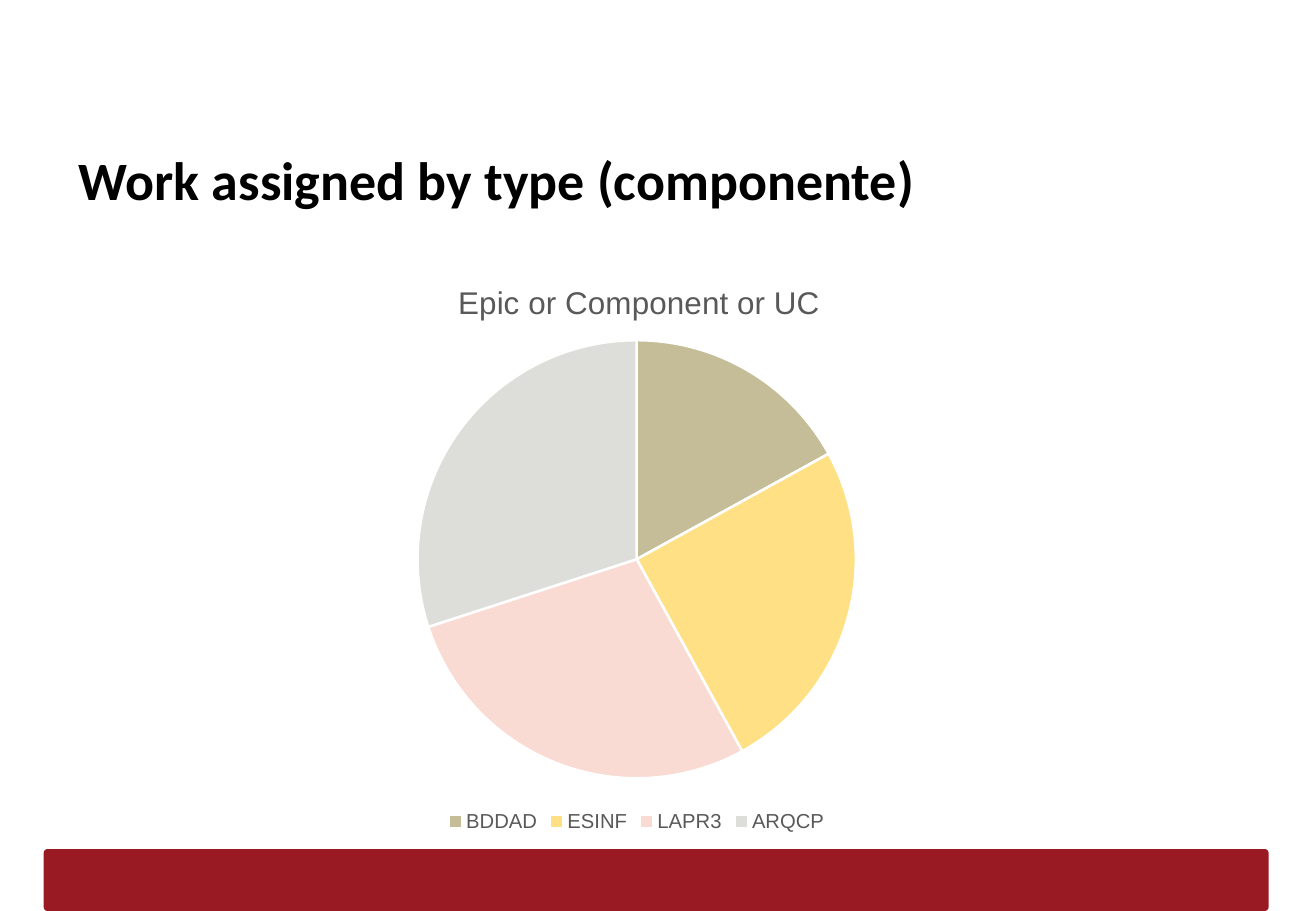
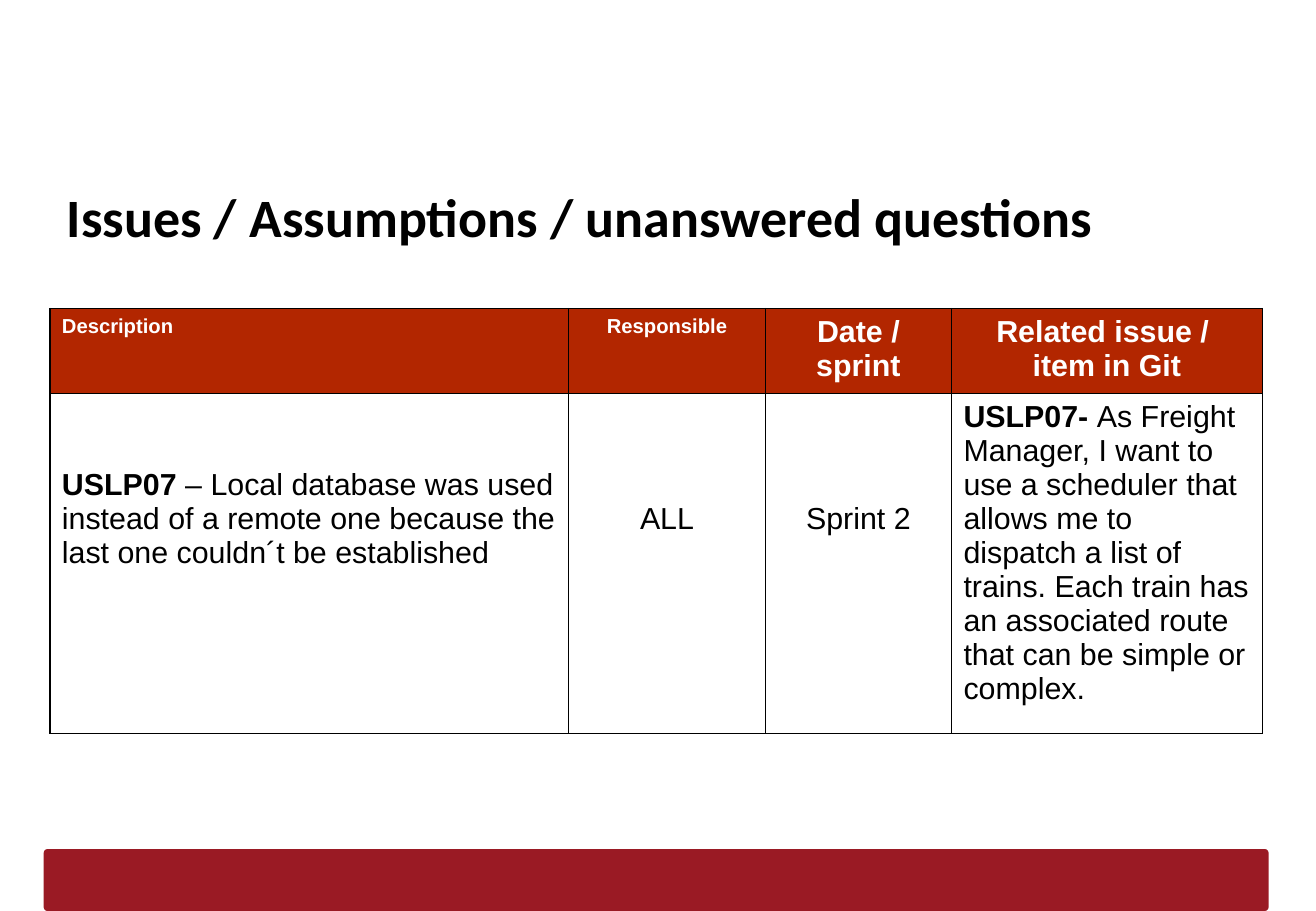
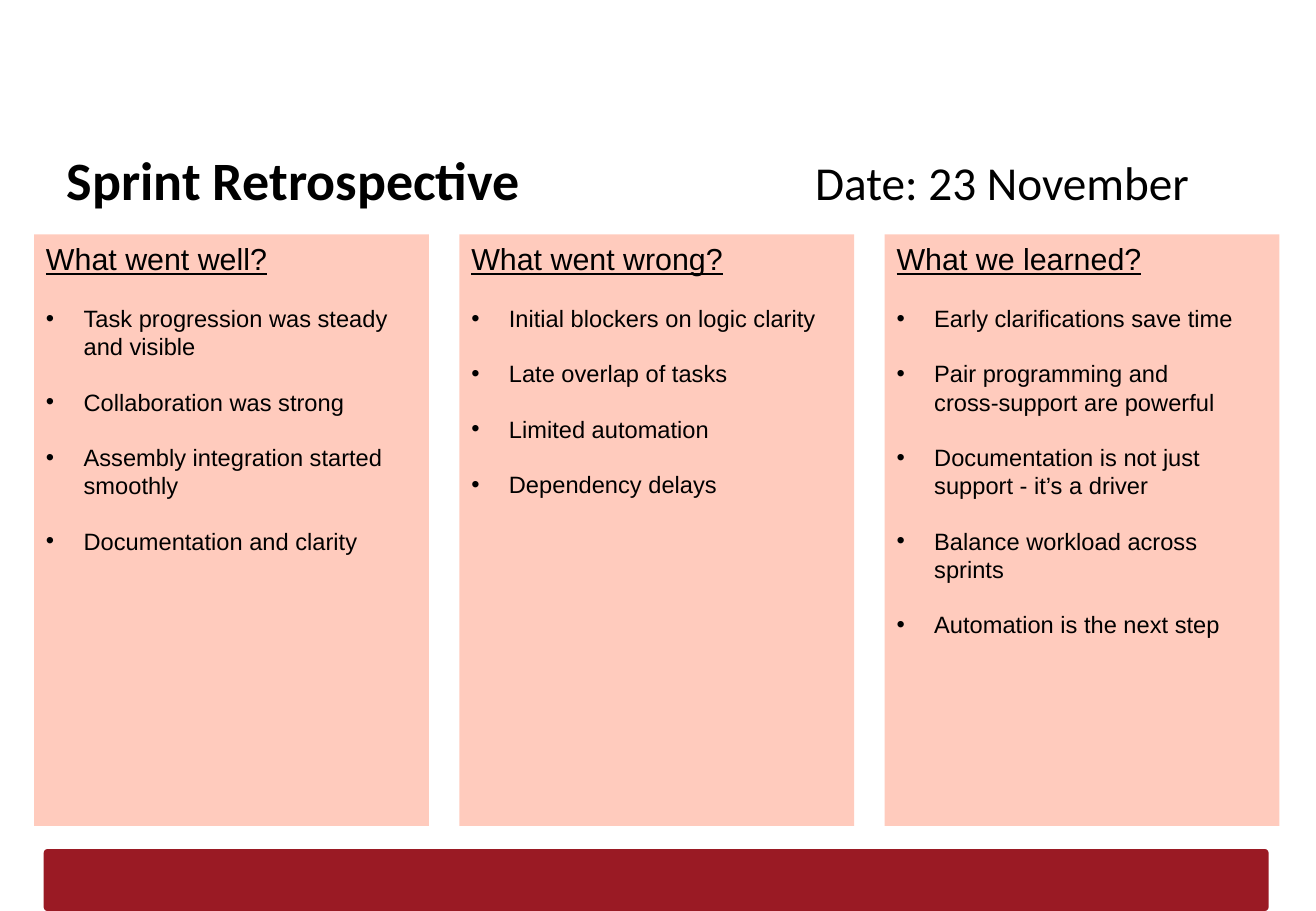
from lxml import etree
from pptx import Presentation
from pptx.chart.data import CategoryChartData
from pptx.dml.color import RGBColor
from pptx.enum.chart import XL_CHART_TYPE, XL_LEGEND_POSITION
from pptx.enum.shapes import MSO_SHAPE
from pptx.enum.text import MSO_ANCHOR, PP_ALIGN
from pptx.oxml import parse_xml
from pptx.oxml.ns import nsdecls, qn
from pptx.util import Pt

EMU_PER_PX = 9144  # 100 px to the inch
BLACK, WHITE, GREY = "000000", "FFFFFF", "595959"
BAND, HEADER, PANEL = "9A1A24", "B22600", "FFCBBD"
TITLE_FONT, BODY_FONT = "Calibri", "Arial"


def px(length):
    return int(length * EMU_PER_PX)


def rgb(value):
    return RGBColor.from_string(value)


def set_font(font, size, color=BLACK, name=BODY_FONT, bold=False, underline=False):
    font.size, font.name, font.bold = Pt(size), name, bold
    font.color.rgb = rgb(color)
    if underline:
        font.underline = True


def add_layout(parent, tag_before, mode, **fractions):
    """Place a chart part at fractions of the chart's width and height."""
    for old in parent.findall(qn("c:layout")):
        parent.remove(old)
    layout = etree.Element(qn("c:layout"))
    manual = etree.SubElement(layout, qn("c:manualLayout"))
    if mode:
        etree.SubElement(manual, qn("c:layoutTarget")).set("val", mode)
    for axis in ("x", "y"):
        etree.SubElement(manual, qn(f"c:{axis}Mode")).set("val", "edge")
    for key, value in fractions.items():
        etree.SubElement(manual, qn(f"c:{key}")).set("val", str(value))
    if tag_before is None:
        parent.insert(0, layout)
    else:
        parent.find(qn(tag_before)).addnext(layout)


class Deck:
    def __init__(self):
        self.presentation = Presentation()
        self.presentation.slide_width = px(1083)
        self.presentation.slide_height = px(750)
        self.slide = None

    def new_slide(self):
        self.slide = self.presentation.slides.add_slide(self.presentation.slide_layouts[6])
        band = self.box(36, 699, 1008, 51, BAND, MSO_SHAPE.ROUNDED_RECTANGLE)
        band.adjustments[0] = 0.06

    def box(self, left, top, width, height, fill, kind=MSO_SHAPE.RECTANGLE):
        shape = self.slide.shapes.add_shape(kind, px(left), px(top), px(width), px(height))
        shape.shadow.inherit = False
        shape.fill.solid()
        shape.fill.fore_color.rgb = rgb(fill)
        shape.line.fill.background()
        return shape

    def title(self, text, left=45, top=109, side_text=None, tab=616):
        shape = self.slide.shapes.add_textbox(px(left), px(top), px(989), px(63))
        frame = shape.text_frame
        frame.word_wrap = True
        frame.margin_left = frame.margin_right = frame.margin_bottom = px(10)
        frame.margin_top = px(12)
        paragraph = frame.paragraphs[0]
        run = paragraph.add_run()
        run.text = text
        if side_text is None:
            set_font(paragraph.font, 32, name=TITLE_FONT, bold=True)
            return
        tabs = etree.SubElement(paragraph._p.get_or_add_pPr(), qn("a:tabLst"))
        etree.SubElement(tabs, qn("a:tab"), pos=str(px(tab)), algn="l")
        set_font(run.font, 32, name=TITLE_FONT, bold=True)
        side_run = paragraph.add_run()
        side_run.text = "\t" + side_text
        set_font(side_run.font, 28, name=TITLE_FONT)

    def pie(self, left, top, width, height, title, slices):
        """Draw a pie from (category, value, colour) slices."""
        data = CategoryChartData()
        data.categories = [category for category, _, _ in slices]
        data.add_series("Series 1", [value for _, value, _ in slices])
        chart = self.slide.shapes.add_chart(
            XL_CHART_TYPE.PIE, px(left), px(top), px(width), px(height), data).chart
        set_font(chart.font, 10)
        chart.has_title = True
        paragraph = chart.chart_title.text_frame.paragraphs[0]
        paragraph.text = title
        set_font(paragraph.runs[0].font, 18.6, GREY)
        chart.has_legend = True
        chart.legend.position = XL_LEGEND_POSITION.BOTTOM
        chart.legend.include_in_layout = False
        set_font(chart.legend.font, 12, GREY)
        plot = chart.plots[0]
        plot.vary_by_categories = True
        for index, (_, _, color) in enumerate(slices):
            point = plot.series[0].points[index].format
            point.fill.solid()
            point.fill.fore_color.rgb = rgb(color)
            point.line.color.rgb = rgb(WHITE)
            point.line.width = Pt(1.5)
        chart_xml = chart._chartSpace.chart
        add_layout(chart_xml.find(qn("c:title")), "c:tx", None, x=0.29, y=0.04)
        add_layout(chart_xml.plotArea, None, "inner", x=0.25, y=0.15, w=0.5, h=0.75)

    def table(self, left, top, widths, heights):
        table = self.slide.shapes.add_table(
            len(heights), len(widths), px(left), px(top), px(sum(widths)), px(sum(heights))).table
        table.first_row = table.horz_banding = False
        for column, width in zip(table.columns, widths):
            column.width = px(width)
        for row, height in zip(table.rows, heights):
            row.height = px(height)
        return table

    def cell(self, cell, text, size=18, color=BLACK, fill=WHITE, bold=False,
             centred=False, lead="", top_margin=5):
        """Fill a table cell; lead is a bold start to the text."""
        properties = cell._tc.get_or_add_tcPr()
        for side in "LRTB":
            properties.append(parse_xml(
                f'<a:ln{side} {nsdecls("a")} w="12700"><a:solidFill>'
                f'<a:srgbClr val="{BLACK}"/></a:solidFill></a:ln{side}>'))
        cell.fill.solid()
        cell.fill.fore_color.rgb = rgb(fill)
        cell.margin_left = cell.margin_right = px(10)
        cell.margin_top, cell.margin_bottom = px(top_margin), px(5)
        cell.vertical_anchor = MSO_ANCHOR.TOP
        frame = cell.text_frame
        for index, line in enumerate(text.split("\n")):
            paragraph = frame.add_paragraph() if index else frame.paragraphs[0]
            paragraph.alignment = PP_ALIGN.CENTER if centred else PP_ALIGN.LEFT
            parts = [(lead, True), (line, bold)] if lead else [(line, bold)]
            for part, part_bold in parts:
                run = paragraph.add_run()
                run.text = part
                set_font(run.font, size, color, bold=part_bold)

    def panel(self, left, top, width, height, heading, items):
        frame = self.box(left, top, width, height, PANEL).text_frame
        frame.word_wrap = True
        frame.vertical_anchor = MSO_ANCHOR.TOP
        frame.margin_left = frame.margin_right = px(10)
        frame.margin_top = frame.margin_bottom = px(5)
        paragraph = frame.paragraphs[0]
        paragraph.text = heading
        paragraph.alignment = PP_ALIGN.LEFT
        set_font(paragraph.font, 18, underline=True)
        for item in items:
            paragraph = frame.add_paragraph()
            paragraph.text = item
            properties = paragraph._p.get_or_add_pPr()
            properties.set("marL", str(px(31)))
            properties.set("indent", str(px(-31)))
            etree.SubElement(properties, qn("a:buFont"), typeface=BODY_FONT)
            etree.SubElement(properties, qn("a:buChar"), char="•")
            paragraph.alignment = PP_ALIGN.LEFT
            paragraph.space_before = Pt(16)
            set_font(paragraph.font, 14)


def work_slide(deck):
    deck.new_slide()
    deck.title("Work assigned by type (componente)", left=55)
    deck.pie(163, 208, 722, 481, "Epic or Component or UC", [
        ("BDDAD", 17, "C4BD97"),
        ("ESINF", 25, "FFE085"),
        ("LAPR3", 28, "FADBD3"),
        ("ARQCP", 30, "DDDDD9"),
    ])


def issues_slide(deck):
    deck.new_slide()
    deck.title("Issues / Assumptions / unanswered questions", top=139)
    table = deck.table(41, 254, [427, 162, 153, 256], [69, 262])
    headings = [("Description", 12), ("Responsible", 12), ("Date / sprint", 18),
                ("Related issue / \nitem in Git", 18)]
    for index, (heading, size) in enumerate(headings):
        deck.cell(table.cell(0, index), heading, size, WHITE, HEADER,
                  bold=True, centred=index > 0)
    deck.cell(table.cell(1, 0), " – Local database was used instead of a remote one "
              "because the last one couldn´t be established", lead="USLP07", top_margin=61)
    for index, text in enumerate(["ALL", "Sprint 2"], 1):
        deck.cell(table.cell(1, index), text, centred=True, top_margin=89)
    deck.cell(table.cell(1, 3), "As Freight Manager, I want to use a scheduler that allows me "
              "to dispatch a list of trains. Each train has an associated route that can be "
              "simple or complex.", lead="USLP07- ")


def retrospective_slide(deck):
    deck.new_slide()
    deck.title("Sprint Retrospective", side_text="Date: 23 November")
    panels = [
        ("What went well?", [
            "Task progression was steady and visible",
            "Collaboration was strong",
            "Assembly integration started smoothly",
            "Documentation and clarity"]),
        ("What went wrong?", [
            "Initial blockers on logic clarity",
            "Late overlap of tasks",
            "Limited automation",
            "Dependency delays"]),
        ("What we learned?", [
            "Early clarifications save time",
            "Pair programming and cross‑support are powerful",
            "Documentation is not just support - it’s a driver",
            "Balance workload across sprints",
            "Automation is the next step"]),
    ]
    width, gap = 325, 25
    for index, (heading, items) in enumerate(panels):
        deck.panel(28 + index * (width + gap), 193, width, 487, heading, items)


def main():
    deck = Deck()
    work_slide(deck)
    issues_slide(deck)
    retrospective_slide(deck)
    deck.presentation.save("out.pptx")


if __name__ == "__main__":
    main()
